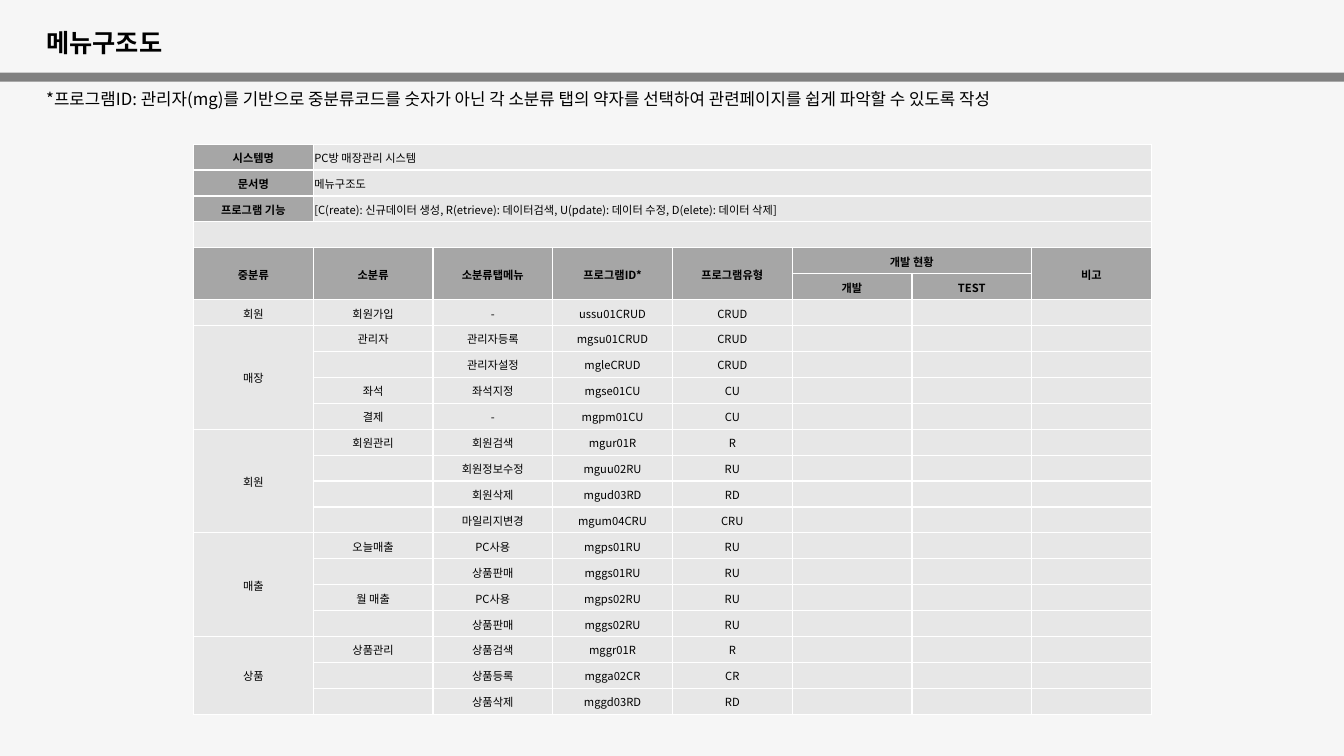
from lxml import etree
from pptx import Presentation
from pptx.dml.color import RGBColor
from pptx.enum.shapes import MSO_SHAPE as Shape
from pptx.enum.text import MSO_ANCHOR as Anchor, MSO_AUTO_SIZE as AutoSize, PP_ALIGN as Align
from pptx.oxml.ns import qn
from pptx.util import Inches, Pt

FONT = "Noto Sans CJK KR"
COLORS = {
    "page": "F6F6F6",
    "bar": "808080",
    "header": "A6A6A6",
    "body": "E7E7E7",
    "border": "FFFFFF",
    "text": "000000",
}


def style_text(frame, size, bold=False, align=Align.LEFT):
    para = frame.paragraphs[0]
    para.alignment = align
    font = para.font
    font.name = FONT
    font.size = Pt(size)
    font.bold = bold
    font.color.rgb = RGBColor.from_string(COLORS["text"])
    etree.SubElement(font._element, qn("a:ea"), typeface=FONT)
    if not para.text:
        etree.SubElement(para._p, qn("a:endParaRPr"), sz=str(size * 100))


def style_cell(cell, fill):
    cell.margin_left = cell.margin_right = cell.margin_top = Inches(0.01)
    cell.margin_bottom = 0
    cell.vertical_anchor = Anchor.MIDDLE
    properties = cell._tc.get_or_add_tcPr()
    for side in ("lnL", "lnR", "lnT", "lnB"):
        line = etree.SubElement(properties, qn(f"a:{side}"), w=str(Pt(1)))
        solid = etree.SubElement(line, qn("a:solidFill"))
        etree.SubElement(solid, qn("a:srgbClr"), val=COLORS["border"])
    cell.fill.solid()
    cell.fill.fore_color.rgb = RGBColor.from_string(COLORS[fill])


deck = Presentation()
deck.slide_width = Inches(13.33)
deck.slide_height = Inches(7.5)
page = deck.slides.add_slide(deck.slide_layouts[5])
page.background.fill.solid()
page.background.fill.fore_color.rgb = RGBColor.from_string(COLORS["page"])

title = page.shapes.title
title.left, title.top = Inches(0.36), Inches(0.22)
title.width, title.height = Inches(2.89), Inches(0.4)
title.text_frame.text = "메뉴구조도"
note = page.shapes.add_textbox(Inches(0.36), Inches(0.83), Inches(10.66), Inches(0.3))
note.text_frame.text = (
    "*프로그램ID: 관리자(mg)를 기반으로 중분류코드를 숫자가 아닌 "
    "각 소분류 탭의 약자를 선택하여 관련페이지를 쉽게 파악할 수 있도록 작성"
)
for box, size, bold in ((title, 18, True), (note, 12, False)):
    frame = box.text_frame
    frame.word_wrap = True
    frame.auto_size = AutoSize.NONE
    frame.vertical_anchor = Anchor.MIDDLE
    style_text(frame, size, bold)

bar = page.shapes.add_shape(Shape.RECTANGLE, 0, Inches(0.72), deck.slide_width, Inches(0.09))
bar.shadow.inherit = False
bar.fill.solid()
bar.fill.fore_color.rgb = RGBColor.from_string(COLORS["bar"])
bar.line.fill.background()

rows = [
    ["시스템명", "PC방 매장관리 시스템"],
    ["문서명", "메뉴구조도"],
    ["프로그램 기능", "[C(reate): 신규데이터 생성, R(etrieve): 데이터검색, "
     "U(pdate): 데이터 수정, D(elete): 데이터 삭제]"],
    [],
    ["중분류", "소분류", "소분류탭메뉴", "프로그램ID*", "프로그램유형", "개발 현황", "", "비고"],
    ["", "", "", "", "", "개발", "TEST"],
    ["회원", "회원가입", "-", "ussu01CRUD", "CRUD"],
    ["매장", "관리자", "관리자등록", "mgsu01CRUD", "CRUD"],
    ["", "", "관리자설정", "mgleCRUD", "CRUD"],
    ["", "좌석", "좌석지정", "mgse01CU", "CU"],
    ["", "결제", "-", "mgpm01CU", "CU"],
    ["회원", "회원관리", "회원검색", "mgur01R", "R"],
    ["", "", "회원정보수정", "mguu02RU", "RU"],
    ["", "", "회원삭제", "mgud03RD", "RD"],
    ["", "", "마일리지변경", "mgum04CRU", "CRU"],
    ["매출", "오늘매출", "PC사용", "mgps01RU", "RU"],
    ["", "", "상품판매", "mggs01RU", "RU"],
    ["", "월 매출", "PC사용", "mgps02RU", "RU"],
    ["", "", "상품판매", "mggs02RU", "RU"],
    ["상품", "상품관리", "상품검색", "mggr01R", "R"],
    ["", "", "상품등록", "mgga02CR", "CR"],
    ["", "", "상품삭제", "mggd03RD", "RD"],
]
column_count = 8
info_rows = range(3)
heading_rows = (4, 5)

table_frame = page.shapes.add_table(
    len(rows), column_count, Inches(1.92), Inches(1.43), Inches(9.5), Inches(5.66)
)
menu = table_frame.table
menu.first_row = False
menu.horz_banding = False

for r, values in enumerate(rows):
    for c in range(column_count):
        cell = menu.cell(r, c)
        is_header = r in heading_rows or (r in info_rows and c == 0)
        is_info = r in info_rows and c > 0
        if c < len(values):
            cell.text = values[c]
        style_cell(cell, "header" if is_header else "body")
        style_text(cell.text_frame, 8, is_header, Align.LEFT if is_info else Align.CENTER)

for r in info_rows:
    menu.cell(r, 1).merge(menu.cell(r, 7))
menu.cell(3, 0).merge(menu.cell(3, 7))
for c in (0, 1, 2, 3, 4, 7):
    menu.cell(4, c).merge(menu.cell(5, c))
menu.cell(4, 5).merge(menu.cell(4, 6))
for first, last in ((7, 10), (11, 14), (15, 18), (19, 21)):
    menu.cell(first, 0).merge(menu.cell(last, 0))

deck.save("out.pptx")
